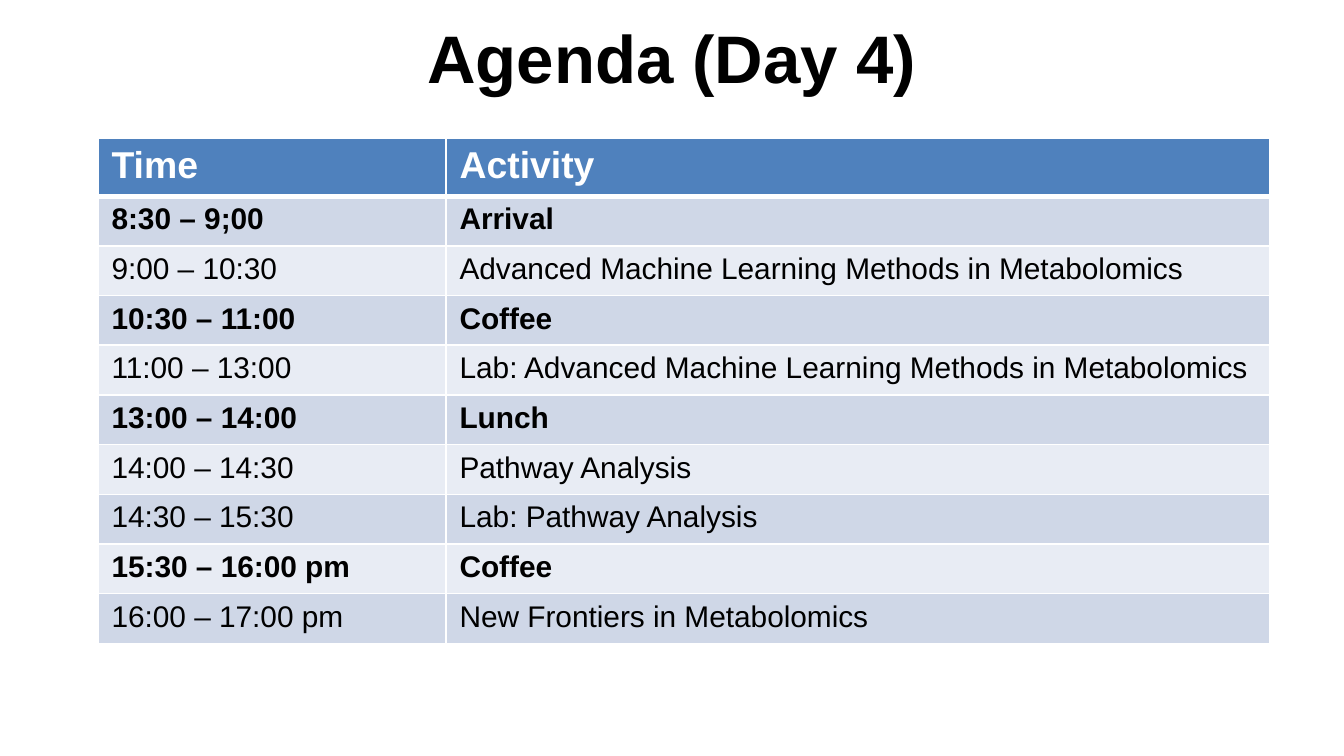
from lxml import etree
from pptx import Presentation, util as u
from pptx.dml.color import RGBColor
from pptx.enum import text
from pptx.oxml.ns import qn

TITLE = "Agenda (Day 4)"
HEADER = ("Time", "Activity")
# time, activity, shown in bold
SESSIONS = [
    ("8:30 – 9;00", "Arrival", True),
    ("9:00 – 10:30", "Advanced Machine Learning Methods in Metabolomics", False),
    ("10:30 – 11:00", "Coffee", True),
    ("11:00 – 13:00", "Lab: Advanced Machine Learning Methods in Metabolomics", False),
    ("13:00 – 14:00", "Lunch", True),
    ("14:00 – 14:30", "Pathway Analysis", False),
    ("14:30 – 15:30", "Lab: Pathway Analysis", False),
    ("15:30 – 16:00 pm", "Coffee", True),
    ("16:00 – 17:00 pm", "New Frontiers in Metabolomics", False),
]
COLORS = {"header": "4F81BD", "odd": "CFD7E7", "even": "E8ECF4",
          "rule": "FFFFFF", "light": "FFFFFF", "dark": "000000"}
FONT = "Arial"
SLIDE_WIDTH = u.Inches(10)
SLIDE_HEIGHT = SLIDE_WIDTH * 9 // 16
COLUMNS = (2.59, 6.13)
HEADER_HEIGHT, SESSION_HEIGHT = 0.43, 0.37
LEFT, TOP = 0.73, 1.03


def rgb(name):
    return RGBColor.from_string(COLORS[name])


def write(frame, words, size, color, bold):
    frame.text = words
    font = frame.paragraphs[0].runs[0].font
    font.name, font.size, font.bold = FONT, u.Pt(size), bold
    font.color.rgb = rgb(color)


def rule_cell(cell, top, bottom):
    """Draw the cell's four borders, with top and bottom widths in points."""
    properties = cell._tc.get_or_add_tcPr()
    for side, width in (("L", 1), ("R", 1), ("T", top), ("B", bottom)):
        line = etree.SubElement(properties, qn(f"a:ln{side}"), w=str(u.Pt(width)))
        fill = etree.SubElement(line, qn("a:solidFill"))
        etree.SubElement(fill, qn("a:srgbClr"), val=COLORS["rule"])


def add_title(slide):
    title = slide.shapes.title
    title.left, title.top = u.Inches(0.5), u.Inches(-0.05)
    title.width, title.height = u.Inches(9), u.Inches(0.94)
    frame = title.text_frame
    frame.vertical_anchor = text.MSO_ANCHOR.MIDDLE
    write(frame, TITLE, 36, "dark", True)
    frame.paragraphs[0].alignment = text.PP_ALIGN.CENTER


def add_agenda(slide):
    heights = [HEADER_HEIGHT] + [SESSION_HEIGHT] * len(SESSIONS)
    agenda = slide.shapes.add_table(
        len(heights), len(COLUMNS), u.Inches(LEFT), u.Inches(TOP),
        u.Inches(sum(COLUMNS)), u.Inches(sum(heights))).table
    for column, width in zip(agenda.columns, COLUMNS):
        column.width = u.Inches(width)
    for row, height in zip(agenda.rows, heights):
        row.height = u.Inches(height)

    for r, (*entries, bold) in enumerate([(*HEADER, True), *SESSIONS]):
        if r == 0:
            fill, color, size = "header", "light", 20
        else:
            fill, color, size = "odd" if r % 2 else "even", "dark", 16
        for c, words in enumerate(entries):
            cell = agenda.cell(r, c)
            write(cell.text_frame, words, size, color, bold)
            rule_cell(cell, top=3 if r == 1 else 1, bottom=3 if r == 0 else 1)
            cell.fill.solid()
            cell.fill.fore_color.rgb = rgb(fill)


def main():
    deck = Presentation()
    deck.slide_width, deck.slide_height = SLIDE_WIDTH, SLIDE_HEIGHT
    slide = deck.slides.add_slide(deck.slide_layouts[5])
    add_title(slide)
    add_agenda(slide)
    deck.save("out.pptx")


if __name__ == "__main__":
    main()
